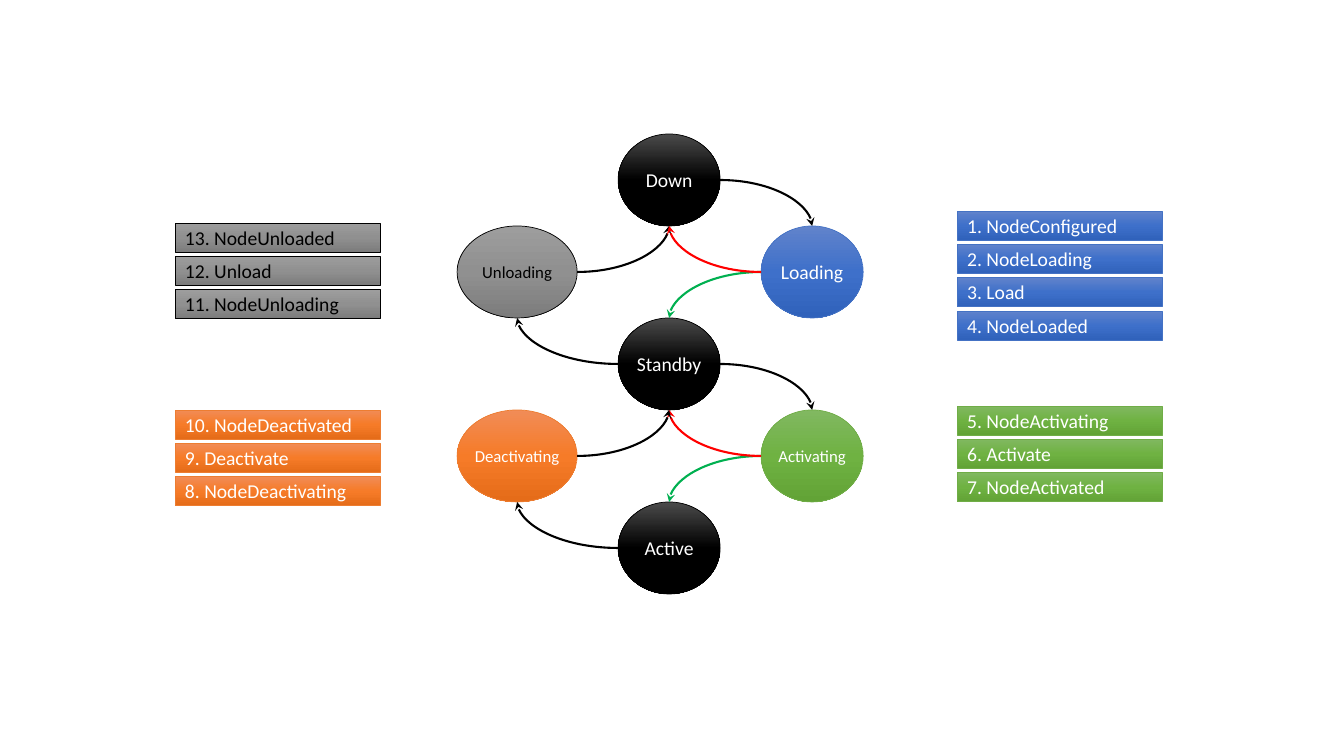
from copy import deepcopy

from lxml import etree
from pptx import Presentation
from pptx.dml.color import RGBColor
from pptx.enum.shapes import MSO_CONNECTOR, MSO_SHAPE
from pptx.enum.text import MSO_ANCHOR, PP_ALIGN
from pptx.oxml.ns import qn
from pptx.util import Inches, Pt

ELLIPSE, RECT = MSO_SHAPE.OVAL, MSO_SHAPE.RECTANGLE
CURVE = MSO_CONNECTOR.CURVE
MIDDLE, LEFT, CENTER = MSO_ANCHOR.MIDDLE, PP_ALIGN.LEFT, PP_ALIGN.CENTER

FONT = "Calibri"
WHITE = RGBColor(0xFF, 0xFF, 0xFF)
BLACK = RGBColor(0x00, 0x00, 0x00)
RED = RGBColor(0xFF, 0x00, 0x00)
GREEN = RGBColor(0x00, 0xB0, 0x50)

# style: gradient colours from top to bottom, outline, text
STYLES = {
    "stable": ((RGBColor(0x4B, 0x4B, 0x4B), BLACK, BLACK), BLACK, WHITE),
    "load": ((RGBColor(0x61, 0x83, 0xCB), RGBColor(0x3E, 0x70, 0xCA),
              RGBColor(0x30, 0x62, 0xBB)), RGBColor(0x44, 0x72, 0xC4), WHITE),
    "activate": ((RGBColor(0x81, 0xB8, 0x61), RGBColor(0x6F, 0xB2, 0x42),
                  RGBColor(0x62, 0xA3, 0x36)), RGBColor(0x70, 0xAD, 0x47), WHITE),
    "deactivate": ((RGBColor(0xF1, 0x8C, 0x57), RGBColor(0xF6, 0x7B, 0x28),
                    RGBColor(0xE5, 0x6C, 0x19)), RGBColor(0xED, 0x7D, 0x31), WHITE),
    "unload": ((RGBColor(0x9D, 0x9D, 0x9D), RGBColor(0x90, 0x90, 0x90),
                RGBColor(0x7C, 0x7C, 0x7C)), BLACK, BLACK),
}

# state, column centre, row, width, text size, style
LEFT_X, MID_X, RIGHT_X = 517, 669, 812
STATES = [
    ("Down", MID_X, 0, 102, 14, "stable"),
    ("Standby", MID_X, 2, 102, 14, "stable"),
    ("Active", MID_X, 4, 102, 14, "stable"),
    ("Loading", RIGHT_X, 1, 102, 14, "load"),
    ("Activating", RIGHT_X, 3, 102, 12, "activate"),
    ("Deactivating", LEFT_X, 3, 120, 12, "deactivate"),
    ("Unloading", LEFT_X, 1, 120, 12, "unload"),
]
ROW_TOP, ROW_H = 134, 92

# left, top, style, steps from top to bottom
STEP_LISTS = [
    (957, 211, "load",
     ["1. NodeConfigured", "2. NodeLoading", "3. Load", "4. NodeLoaded"]),
    (957, 406, "activate",
     ["5. NodeActivating", "6. Activate", "7. NodeActivated"]),
    (175, 410, "deactivate",
     ["10. NodeDeactivated", "9. Deactivate", "8. NodeDeactivating"]),
    (175, 223, "unload",
     ["13. NodeUnloaded", "12. Unload", "11. NodeUnloading"]),
]
STEP_W, STEP_H, STEP_PITCH = 205, 29, 33.3

TRANSITIONS = [
    ("Down", "Loading", BLACK),
    ("Loading", "Standby", GREEN),
    ("Standby", "Activating", BLACK),
    ("Activating", "Active", GREEN),
    ("Activating", "Standby", RED),
    ("Active", "Deactivating", BLACK),
    ("Deactivating", "Standby", BLACK),
    ("Standby", "Unloading", BLACK),
    ("Unloading", "Down", BLACK),
    ("Loading", "Down", RED),
]


def px(n):
    """Turn pixels into EMU."""
    return Inches(n / 100.8)


def add_box(slide, kind, box, text, size, style, align):
    """Add a gradient-filled shape with one line of text."""
    colors, outline, text_color = STYLES[style]
    sp = slide.shapes.add_shape(kind, *map(px, box))
    sp.shadow.inherit = False
    sp.fill.gradient()
    sp.fill.gradient_angle = 270
    stops = sp._element.spPr.find(qn("a:gradFill")).find(qn("a:gsLst"))
    stops.insert(1, deepcopy(stops[0]))
    for stop, position, color in zip(sp.fill.gradient_stops, (0, 0.5, 1), colors):
        stop.position = position
        stop.color.rgb = color
    sp.line.color.rgb = outline
    sp.line.width = Pt(0.5)
    tf = sp.text_frame
    tf.vertical_anchor = MIDDLE
    if kind == ELLIPSE:
        tf.margin_left = tf.margin_right = tf.margin_top = tf.margin_bottom = 0
    p = tf.paragraphs[0]
    p.text = text
    p.alignment = align
    p.font.name, p.font.size = FONT, Pt(size)
    p.font.color.rgb = text_color
    return sp


def add_transition(slide, start, end, color):
    """Curve from the facing side of one state to the top or bottom of another."""
    start_mid, end_mid = (s.left + s.width // 2 for s in (start, end))
    x1 = start.left + (start.width if end_mid > start_mid else 0)
    y1 = start.top + start.height // 2
    y2 = end.top + (end.height if end.top < start.top else 0)
    cxn = slide.shapes.add_connector(CURVE, x1, y1, end_mid, y2)
    cxn.line.color.rgb = color
    cxn.line.width = Pt(1.5)
    spPr = cxn._element.spPr
    spPr.find(qn("a:prstGeom")).set("prst", "curvedConnector2")
    etree.SubElement(spPr.find(qn("a:ln")), qn("a:tailEnd"), type="stealth")
    etree.SubElement(spPr, qn("a:effectLst"))


prs = Presentation()
prs.slide_width, prs.slide_height = Inches(13.33), Inches(7.5)
slide = prs.slides.add_slide(prs.slide_layouts[6])

states = {}
for name, mid, row, width, size, style in STATES:
    box = (mid - width / 2, ROW_TOP + row * ROW_H, width, ROW_H)
    states[name] = add_box(slide, ELLIPSE, box, name, size, style, CENTER)

for left, top, style, steps in STEP_LISTS:
    for i, step in enumerate(steps):
        box = (left, top + i * STEP_PITCH, STEP_W, STEP_H)
        add_box(slide, RECT, box, step, 14, style, LEFT)

for start, end, color in TRANSITIONS:
    add_transition(slide, states[start], states[end], color)

prs.save("out.pptx")
